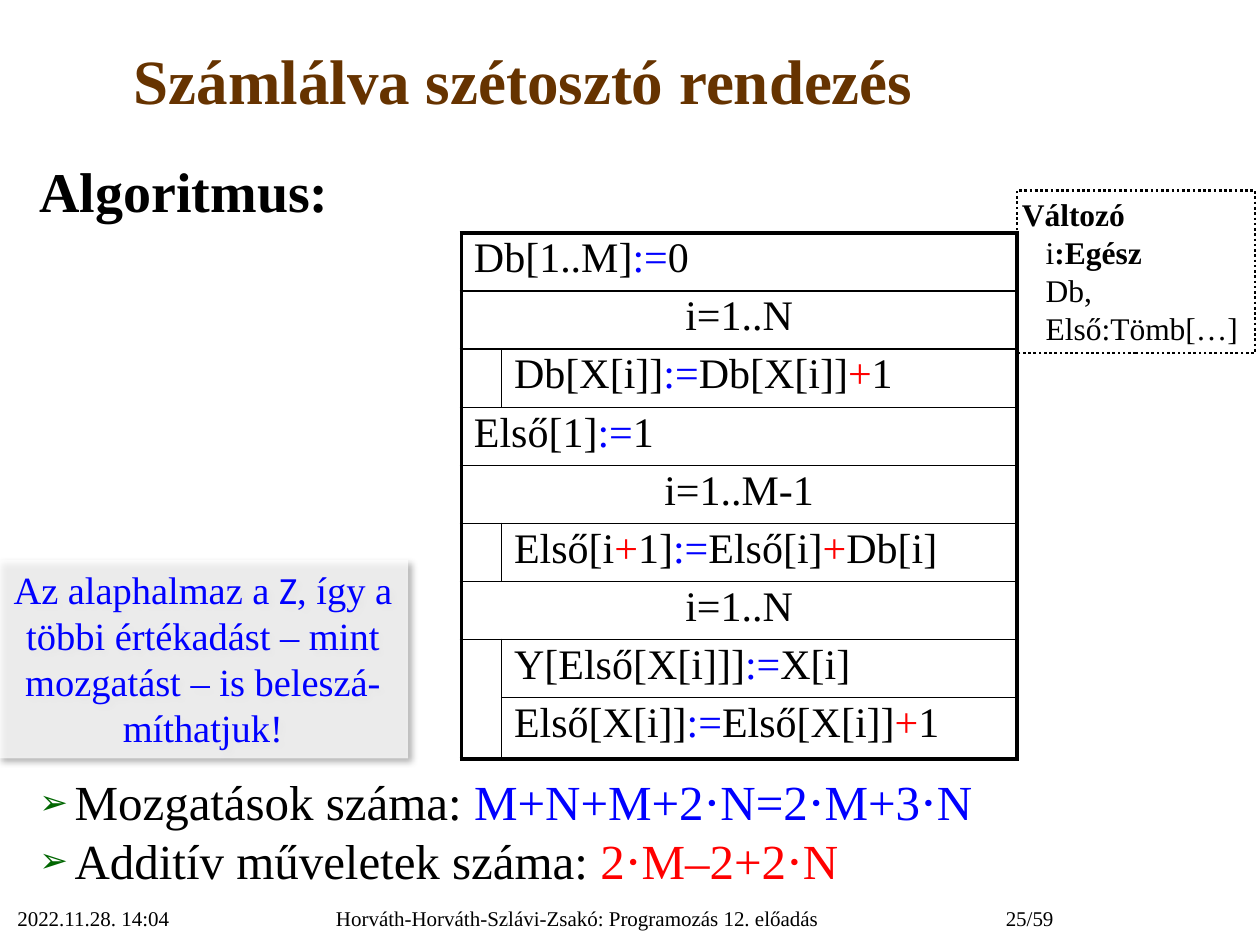
from lxml import etree
from pptx import Presentation
from pptx.dml.color import RGBColor
from pptx.enum.dml import MSO_LINE
from pptx.enum.shapes import MSO_SHAPE
from pptx.enum.text import MSO_ANCHOR, MSO_AUTO_SIZE, PP_ALIGN
from pptx.oxml.ns import qn
from pptx.util import Cm, Pt

SERIF = "Times New Roman"
BLACK, BLUE, RED = "000000", "0000FF", "FF0000"
WHITE, BROWN, GREEN = "FFFFFF", "663300", "006600"
THICK, THIN = 2.25, 1
NO_STYLE = "{2D5ABB26-0587-4C30-8999-92F81FD0307C}"


def rgb(color):
    return RGBColor.from_string(color)


def add_node(parent, tag, **attributes):
    node = etree.SubElement(parent, qn(tag))
    for name, value in attributes.items():
        node.set(name, str(value))
    return node


def write(paragraph, text, size=12, color=BLACK, bold=False, font=SERIF):
    run = paragraph.add_run()
    run.text = text
    run.font.size = Pt(size)
    run.font.color.rgb = rgb(color)
    run.font.bold = bold
    run.font.name = font


def place(shape, box):
    shape.left, shape.top, shape.width, shape.height = (Cm(v) for v in box)


def prepare(shape, anchor=MSO_ANCHOR.TOP):
    """Wrap the text, keep its size and return the text frame."""
    frame = shape.text_frame
    frame.word_wrap = True
    frame.auto_size = MSO_AUTO_SIZE.NONE
    frame.vertical_anchor = anchor
    return frame


def next_paragraph(frame, index):
    return frame.add_paragraph() if index else frame.paragraphs[0]


def format_item(paragraph, space_before, bullet=None):
    paragraph.line_spacing = 0.95
    paragraph.space_before = Pt(space_before)
    properties = paragraph._p.get_or_add_pPr()
    properties.set("marL", str(Cm(0.74)))
    properties.set("indent", str(Cm(-0.71)))
    if bullet:
        add_node(add_node(properties, "a:buClr"), "a:srgbClr", val=GREEN)
        add_node(properties, "a:buSzPct", val=70000)
        add_node(properties, "a:buChar", char=bullet)
    else:
        add_node(properties, "a:buNone")


def fill_title(title, box):
    place(title, box)
    paragraph = prepare(title, MSO_ANCHOR.MIDDLE).paragraphs[0]
    paragraph.alignment = PP_ALIGN.CENTER
    write(paragraph, "Számlálva szétosztó rendezés", size=36, color=BROWN, bold=True)


def fill_heading(heading, box):
    place(heading, box)
    paragraph = prepare(heading).paragraphs[0]
    format_item(paragraph, 1.6)
    write(paragraph, "Algoritmus:", size=32, bold=True)


def fill_costs(costs, box):
    place(costs, box)
    frame = prepare(costs)
    items = [("Mozgatások száma: ", "M+N+M+2⋅N=2⋅M+3⋅N", BLUE, 5.6),
             ("Additív műveletek száma: ", "2⋅M–2+2⋅N", RED, 1.4)]
    for index, (label, formula, color, space) in enumerate(items):
        paragraph = next_paragraph(frame, index)
        format_item(paragraph, space, "➢")
        write(paragraph, label, size=28)
        write(paragraph, formula, size=28, color=color)


def write_code(cell, code, align):
    """Assignments are blue and additions red."""
    paragraph = cell.text_frame.paragraphs[0]
    paragraph.alignment = align
    paragraph.line_spacing = 0.9
    for token in code.replace(":=", "|:=|").replace("+", "|+|").split("|"):
        write(paragraph, token, size=24, color={":=": BLUE, "+": RED}.get(token, BLACK))


def style_cell(cell, **borders):
    properties = cell._tc.get_or_add_tcPr()
    for side in "LRTB":
        if borders.get(side):
            line = add_node(properties, f"a:ln{side}", w=Pt(borders[side]))
            add_node(add_node(line, "a:solidFill"), "a:srgbClr", val=BLACK)
    cell.fill.solid()
    cell.fill.fore_color.rgb = rgb(WHITE)


def add_structogram(slide, box):
    steps = [("step", "Db[1..M]:=0"),
             ("loop", "i=1..N"),
             ("body", "Db[X[i]]:=Db[X[i]]+1"),
             ("step", "Első[1]:=1"),
             ("loop", "i=1..M-1"),
             ("body", "Első[i+1]:=Első[i]+Db[i]"),
             ("loop", "i=1..N"),
             ("body", "Y[Első[X[i]]]:=X[i]"),
             ("body", "Első[X[i]]:=Első[X[i]]+1")]
    left, top, width, height = box
    margin, row_height = 0.81, 1.17
    last = len(steps) - 1
    table = slide.shapes.add_table(len(steps), 2, *(Cm(v) for v in box)).table
    table.first_row = table.horz_banding = False
    table._tbl.tblPr.find(qn("a:tableStyleId")).text = NO_STYLE
    table.columns[0].width = Cm(margin)
    table.columns[1].width = Cm(width - margin)
    for row, (kind, code) in enumerate(steps):
        table.rows[row].height = Cm(height - last * row_height if row == last else row_height)
        first, second = table.cell(row, 0), table.cell(row, 1)
        above = THIN if row else THICK
        below = THICK if row == last else None
        if kind == "body":
            style_cell(first, L=THICK, R=THIN, B=below)
            style_cell(second, L=THIN, R=THICK, T=above, B=below)
            write_code(second, code, PP_ALIGN.LEFT)
        else:
            first.merge(second)
            style_cell(first, L=THICK, R=THICK, T=above, B=below)
            style_cell(second, R=THICK, T=above, B=below)
            write_code(first, code, PP_ALIGN.CENTER if kind == "loop" else PP_ALIGN.LEFT)


def add_rectangle(slide, box):
    rectangle = slide.shapes.add_shape(MSO_SHAPE.RECTANGLE, *(Cm(v) for v in box))
    rectangle.shadow.inherit = False
    return rectangle


def add_variables(slide, box):
    variables = add_rectangle(slide, box)
    variables.fill.background()
    variables.line.color.rgb = rgb(BLACK)
    variables.line.width = Pt(1.5)
    variables.line.dash_style = MSO_LINE.ROUND_DOT
    frame = prepare(variables)
    frame.margin_left = frame.margin_right = Cm(0.1)
    frame.margin_top = frame.margin_bottom = Cm(0.1)
    # Each line: indent, then its plain and bold parts
    lines = [(0, "", "Változó"), (0.48, "i", ":Egész"),
             (0.48, "Db,", ""), (0.48, "Első:Tömb[…]", "")]
    for index, (indent, plain, strong) in enumerate(lines):
        paragraph = next_paragraph(frame, index)
        paragraph.alignment = PP_ALIGN.LEFT
        paragraph._p.get_or_add_pPr().set("marL", str(Cm(indent)))
        for part, bold in ((plain, False), (strong, True)):
            if part:
                write(paragraph, part, size=18, bold=bold)


def add_remark(slide, box):
    remark = add_rectangle(slide, box)
    remark.line.fill.background()
    remark.fill.solid()
    remark.fill.fore_color.rgb = rgb(WHITE)
    properties = remark._element.spPr
    add_node(properties.find(".//" + qn("a:srgbClr")), "a:alpha", val=75000)
    # Soft shadow to the lower right
    shadow = add_node(properties.find(qn("a:effectLst")), "a:outerShdw", blurRad=Pt(4),
                      dist=Pt(3), dir=45 * 60000, algn="tl", rotWithShape=0)
    add_node(add_node(shadow, "a:srgbClr", val=BLACK), "a:alpha", val=40000)
    paragraph = prepare(remark).paragraphs[0]
    paragraph.alignment = PP_ALIGN.CENTER
    write(paragraph, "Az alaphalmaz a ", size=22, color=BLUE)
    write(paragraph, "Z", size=22, color=BLUE, font="Calibri")
    write(paragraph, ", így a többi értékadást – mint mozgatást – is beleszá-míthatjuk!",
          size=22, color=BLUE)


def add_footer(slide, box):
    left, top, width, height = box
    parts = [(0, 5.28, "2022.11.28. 14:04", PP_ALIGN.LEFT),
             (5.28, 12.52, "Horváth-Horváth-Szlávi-Zsakó: Programozás 12. előadás",
              PP_ALIGN.CENTER),
             (width - 3.23, 3.23, "25/59", PP_ALIGN.RIGHT)]
    for offset, part_width, text, align in parts:
        part = slide.shapes.add_textbox(Cm(left + offset), Cm(top), Cm(part_width), Cm(height))
        paragraph = prepare(part).paragraphs[0]
        paragraph.alignment = align
        write(paragraph, text)


def main():
    deck = Presentation()
    deck.slide_width, deck.slide_height = Cm(25.4), Cm(19.05)
    slide = deck.slides.add_slide(deck.slide_layouts[3])
    title, heading, costs = slide.placeholders
    fill_title(title, (0.1, 0.05, 20.9, 3.1))
    fill_heading(heading, (0.51, 3.12, 24.41, 2.18))
    fill_costs(costs, (0.51, 15.52, 24.79, 2.79))
    add_structogram(slide, (9.3, 4.7, 11.2, 10.6))
    add_variables(slide, (20.5, 3.84, 4.8, 3.28))
    add_remark(slide, (-0.05, 11.28, 8.28, 4.01))
    add_footer(slide, (0.1, 18.14, 21.39, 0.95))
    deck.save("out.pptx")


if __name__ == "__main__":
    main()
